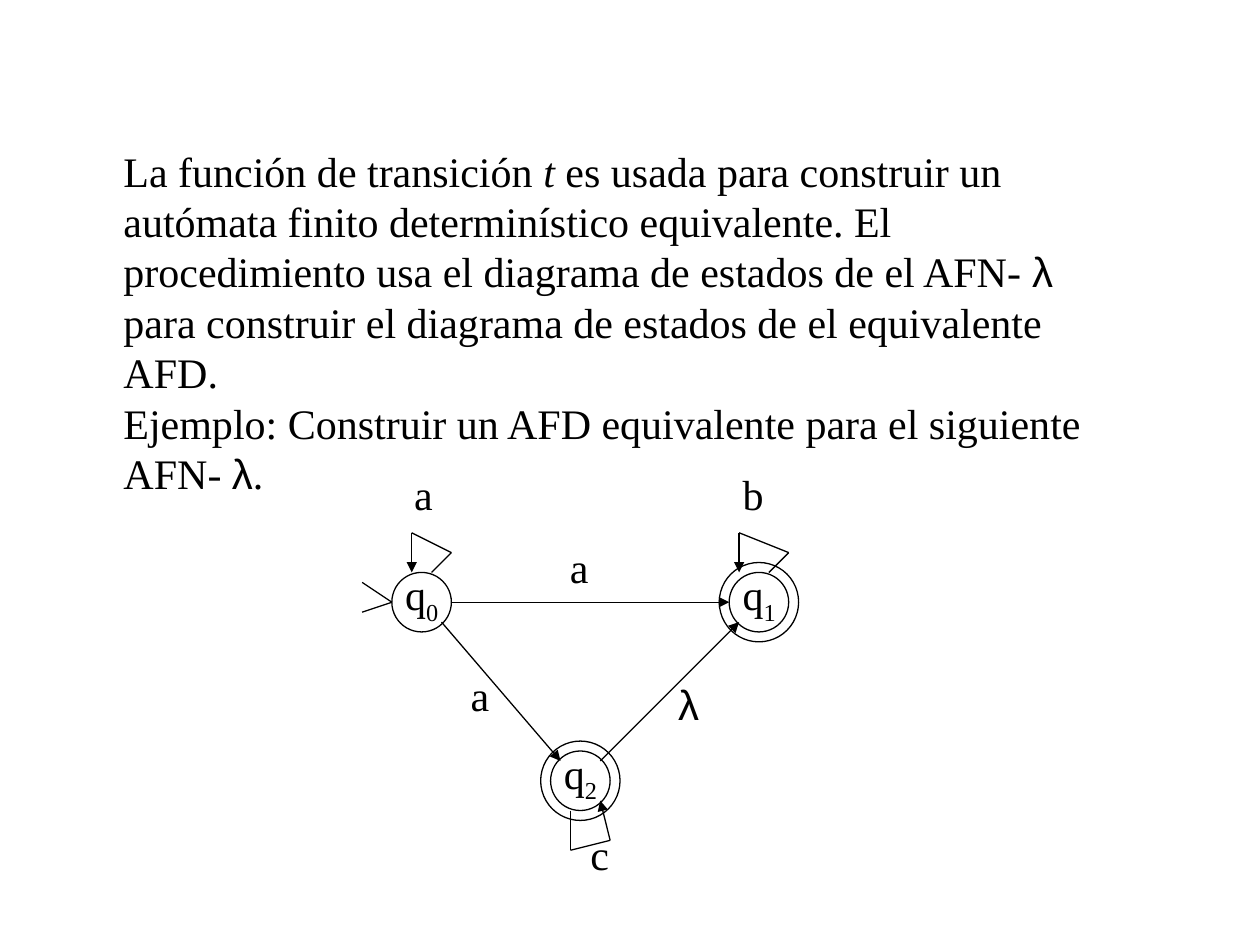
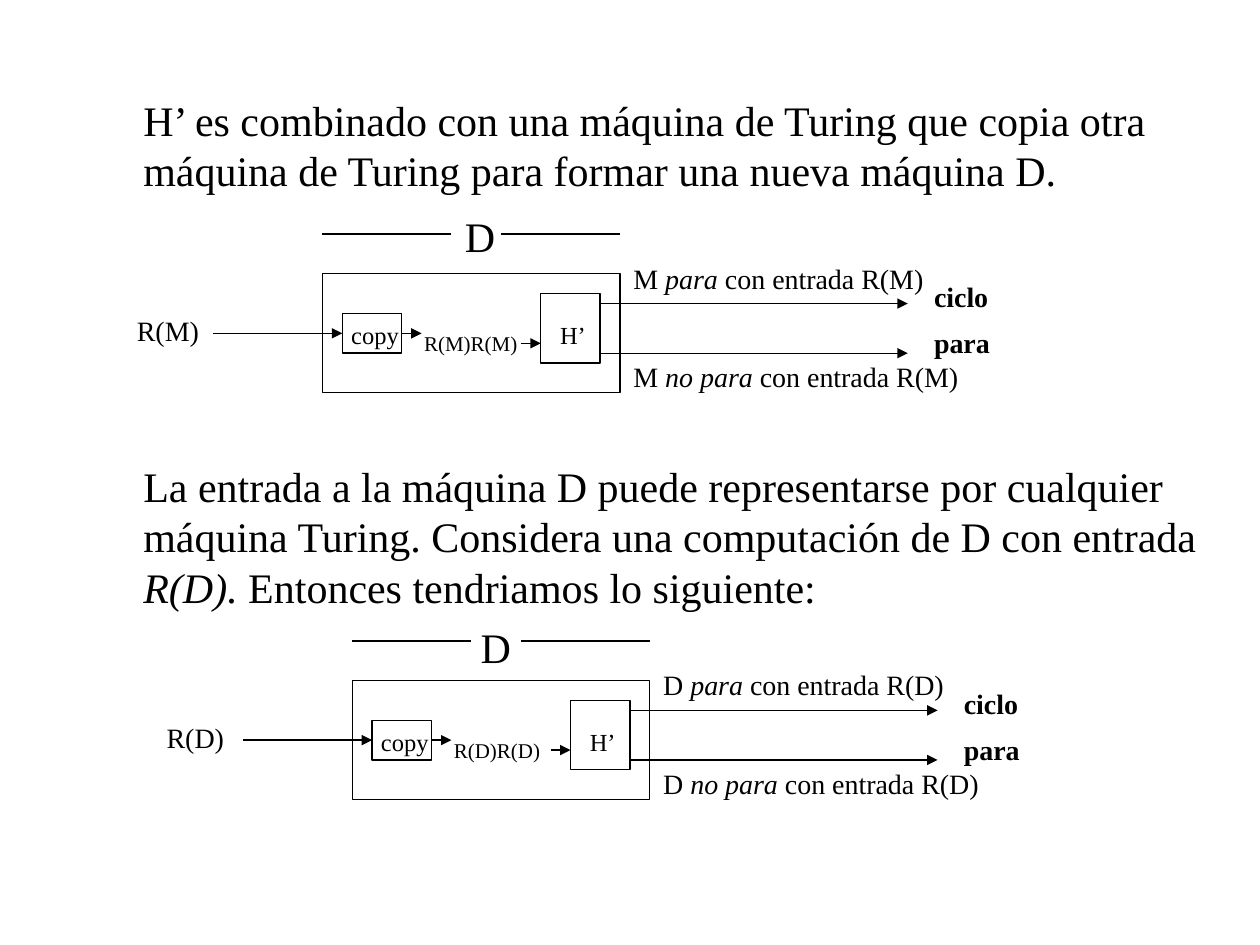
"""Build two slides: an AFN-λ state diagram and the machine D diagrams."""
from dataclasses import dataclass
from typing import NamedTuple, Optional

from lxml import etree
from pptx import Presentation
from pptx.dml.color import RGBColor
from pptx.enum.shapes import MSO_CONNECTOR, MSO_SHAPE
from pptx.enum.text import PP_ALIGN
from pptx.oxml.ns import qn
from pptx.util import Inches, Pt

COLORS = {"ink": "000000", "paper": "FFFFFF"}
SERIF, SANS = "Times New Roman", "Arial"
STRAIGHT = MSO_CONNECTOR.STRAIGHT
ELLIPSE, RECTANGLE = MSO_SHAPE.OVAL, MSO_SHAPE.RECTANGLE
LEFT_ALIGN = PP_ALIGN.LEFT
LEFT_SIDE, RIGHT_SIDE = 1, 3
SLIDE_WIDTH, SLIDE_HEIGHT = Inches(10), Inches(7.5)
COLUMNS = 127
CELL = SLIDE_WIDTH / COLUMNS
LINE_WIDTH = Pt(0.75)


class Point(NamedTuple):
    """A place on the grid, in columns and rows."""
    column: float
    row: float

    def shift(self, columns: float, rows: float) -> "Point":
        """Return the place moved by some columns and rows."""
        return Point(self.column + columns, self.row + rows)


class Box(NamedTuple):
    """A rectangle on the grid, in columns and rows."""
    column: float
    row: float
    width: float
    height: float

    def shift(self, origin: Point) -> "Box":
        """Return the rectangle moved by an origin."""
        return Box(self.column + origin.column, self.row + origin.row, self.width, self.height)


class Run(NamedTuple):
    """A piece of text with its own format."""
    text: str
    italic: bool = False
    font: str = SERIF
    subscript: bool = False


@dataclass(frozen=True)
class State:
    """A state of the automaton with its self loop and loop label."""
    number: str
    center: Point
    accepting: bool
    loop: tuple[tuple[float, float], ...]
    symbol: str
    symbol_offset: tuple[float, float]


@dataclass(frozen=True)
class Machine:
    """A diagram of machine D running on one input."""
    origin: Point
    subject: str
    gap_start: float
    gap_end: float
    title: Point


START = Point(42.5, 60.7)
Q0 = State("0", START, False, ((1, -3), (3, -5), (-1, -7), (-1, -3)), "a", (-2, -14.1))
Q1 = State("1", START.shift(34, 0), True, ((1, -3), (3, -5), (-2, -7), (-2, -3)), "b", (-2.9, -14.1))
Q2 = State("2", START.shift(16, 18), True, ((-1, 3), (-1, 7), (3, 6), (2, 2)), "c", (-0.25, 4.2))
STATES = (Q0, Q1, Q2)
TRANSITIONS = (
    (Q0.center.shift(3, 0), Q1.center.shift(-3, 0), Run("a"), START.shift(13.7, -6.7)),
    (Q0.center.shift(2, 2), Q2.center.shift(-2, -2), Run("a"), START.shift(3.7, 6.2)),
    (Q2.center.shift(2, -2), Q1.center.shift(-2, 2), Run("λ", font=SANS), START.shift(24.6, 7.1)),
)
MACHINES = (
    Machine(Point(32.5, 27.6), "M", 13, 18, Point(13.1, -7)),
    Machine(Point(35.5, 68.6), "D", 12, 17, Point(11.7, -6.6)),
)


def cells(value: float) -> int:
    """Convert grid cells to slide units."""
    return round(value * CELL)


def color(name: str) -> RGBColor:
    """Look up a named colour."""
    return RGBColor.from_string(COLORS[name])


def add_text(slide, box: Box, *paragraphs: list[Run], size: float = 24, bold: bool = False,
             line_spacing: Optional[float] = None, gap: float = 0):
    """Write paragraphs of runs in a text box."""
    shape = slide.shapes.add_textbox(*(cells(value) for value in box))
    frame = shape.text_frame
    frame.word_wrap = True
    for index, runs in enumerate(paragraphs):
        paragraph = frame.add_paragraph() if index else frame.paragraphs[0]
        paragraph.alignment = LEFT_ALIGN
        if line_spacing:
            paragraph.line_spacing = line_spacing
        if index and gap:
            paragraph.space_before = Pt(gap)
        for piece in runs:
            run = paragraph.add_run()
            run.text = piece.text
            font = run.font
            font.name, font.size = piece.font, Pt(size)
            font.bold, font.italic = bold, piece.italic
            font.color.rgb = color("ink")
            if piece.subscript:
                run._r.get_or_add_rPr().set("baseline", "-25000")
    return shape


def add_outline(slide, kind, box: Box):
    """Draw an unfilled shape with a thin line."""
    shape = slide.shapes.add_shape(kind, *(cells(value) for value in box))
    shape.shadow.inherit = False
    shape.fill.background()
    shape.line.color.rgb = color("ink")
    shape.line.width = LINE_WIDTH
    return shape


def add_line(slide, begin: Point, end: Point, arrow: bool = False):
    """Draw a straight line, with an arrowhead if asked."""
    connector = slide.shapes.add_connector(STRAIGHT, *(cells(value) for value in (*begin, *end)))
    connector.line.color.rgb = color("ink")
    connector.line.width = LINE_WIDTH
    properties = connector._element.spPr
    if arrow:
        etree.SubElement(properties.find(qn("a:ln")), qn("a:tailEnd"), type="triangle")
    etree.SubElement(properties, qn("a:effectLst"))
    return connector


def add_circle(slide, center: Point, diameter: float):
    """Draw a circle around a centre."""
    corner = center.shift(-diameter / 2, -diameter / 2)
    return add_outline(slide, ELLIPSE, Box(*corner, diameter, diameter))


def add_symbol(slide, corner: Point, symbol: Run):
    """Write one transition symbol."""
    return add_text(slide, Box(*corner, 4.9, 6.35), [symbol])


def add_state(slide, state: State) -> None:
    """Draw a state, its name and its self loop."""
    add_circle(slide, state.center, 6)
    if state.accepting:
        add_circle(slide, state.center, 8)
    add_text(slide, Box(*state.center.shift(-2.9, -4), 6.2, 7.1),
             [Run("q"), Run(state.number, subscript=True)])
    corners = [state.center.shift(*offset) for offset in state.loop]
    for begin, end in zip(corners, corners[1:]):
        add_line(slide, begin, end, arrow=end == corners[-1])
    add_symbol(slide, state.center.shift(*state.symbol_offset), Run(state.symbol))


def add_machine(slide, machine: Machine) -> None:
    """Draw machine D with its input, inner steps and outcomes."""
    origin, subject = machine.origin, machine.subject
    code = f"R({subject})"

    def place(column: float, row: float, width: float, height: float) -> Box:
        """Return a box inside the machine diagram."""
        return Box(column, row, width, height).shift(origin)

    def arrow(start: float, end: float, row: float):
        """Draw a horizontal arrow."""
        return add_line(slide, origin.shift(start, row), origin.shift(end, row), arrow=True)

    add_outline(slide, RECTANGLE, place(0, 0, 30, 12))
    copy_box = add_outline(slide, RECTANGLE, place(2, 4, 6, 4))
    add_outline(slide, RECTANGLE, place(22, 2, 6, 7))
    arrow(-11, 2, 6).end_connect(copy_box, LEFT_SIDE)
    arrow(8, 10, 6).begin_connect(copy_box, RIGHT_SIDE)
    arrow(20, 22, 7)
    for row, verdict, text_row, width in ((3, "para", -1.9, 33), (8, "no para", 8, 36.5)):
        arrow(28, 59, row)
        add_text(slide, place(30.1, text_row, width, 4.7),
                 [Run(f"{subject} "), Run(verdict, italic=True), Run(f" con entrada {code}")],
                 size=16)
    for text, box, size in (
        (code, place(-19.95, 3.4, 9.2, 4.7), 16),
        ("copy", place(1.65, 4.06, 7.8, 4.3), 14),
        (code * 2, place(9, 5.1, 12.5, 3.8), 12),
        ("H’", place(22.7, 4.06, 5.6, 4.3), 14),
        ("D", Box(*machine.title, 6, 6.35).shift(origin), 24),
    ):
        add_text(slide, box, [Run(text)], size=size)
    add_text(slide, place(60.4, 0.9, 8.6, 8.4), [Run("ciclo")], [Run("para")],
             size=16, bold=True, line_spacing=0.7, gap=13)
    for start, end in ((0, machine.gap_start), (machine.gap_end, 30)):
        add_line(slide, origin.shift(start, -4), origin.shift(end, -4))


def add_blank_slide(presentation):
    """Add an empty slide with the shared background."""
    slide = presentation.slides.add_slide(presentation.slide_layouts[6])
    slide.background.fill.solid()
    slide.background.fill.fore_color.rgb = color("paper")
    return slide


def build_automaton_slide(presentation) -> None:
    """Explain the construction and draw the example automaton."""
    slide = add_blank_slide(presentation)
    add_text(
        slide, Box(11.2, 14, 101.3, 36.8),
        [Run("La función de transición "), Run("t", italic=True),
         Run(" es usada para construir un autómata finito determinístico equivalente. "
             "El procedimiento usa el diagrama de estados de el AFN- "),
         Run("λ ", font=SANS),
         Run("para construir el diagrama de estados de el equivalente AFD.")],
        [Run("Ejemplo: Construir un AFD equivalente para el siguiente AFN- "),
         Run("λ", font=SANS), Run(".")],
    )
    for state in STATES:
        add_state(slide, state)
    for begin, end, symbol, corner in TRANSITIONS:
        add_line(slide, begin, end, arrow=True)
        add_symbol(slide, corner, symbol)
    for row in (1, -2):
        add_line(slide, START.shift(-3, 0), START.shift(-6, row))


def build_machine_slide(presentation) -> None:
    """Explain machine D and draw it with both inputs."""
    slide = add_blank_slide(presentation)
    add_text(slide, Box(13.2, 8.9, 109.3, 11.4),
             [Run("H’ es combinado con una máquina de Turing que copia otra máquina de Turing "
                  "para formar una nueva máquina D.")])
    add_text(slide, Box(13.2, 45.8, 111.2, 16.5),
             [Run("La entrada a la máquina D puede representarse por cualquier máquina Turing. "
                  "Considera una computación de D con entrada "),
              Run("R(D).", italic=True), Run(" Entonces tendriamos lo siguiente:")])
    for machine in MACHINES:
        add_machine(slide, machine)


def main() -> None:
    """Build and save the presentation."""
    presentation = Presentation()
    presentation.slide_width, presentation.slide_height = SLIDE_WIDTH, SLIDE_HEIGHT
    build_automaton_slide(presentation)
    build_machine_slide(presentation)
    presentation.save("out.pptx")


if __name__ == "__main__":
    main()
